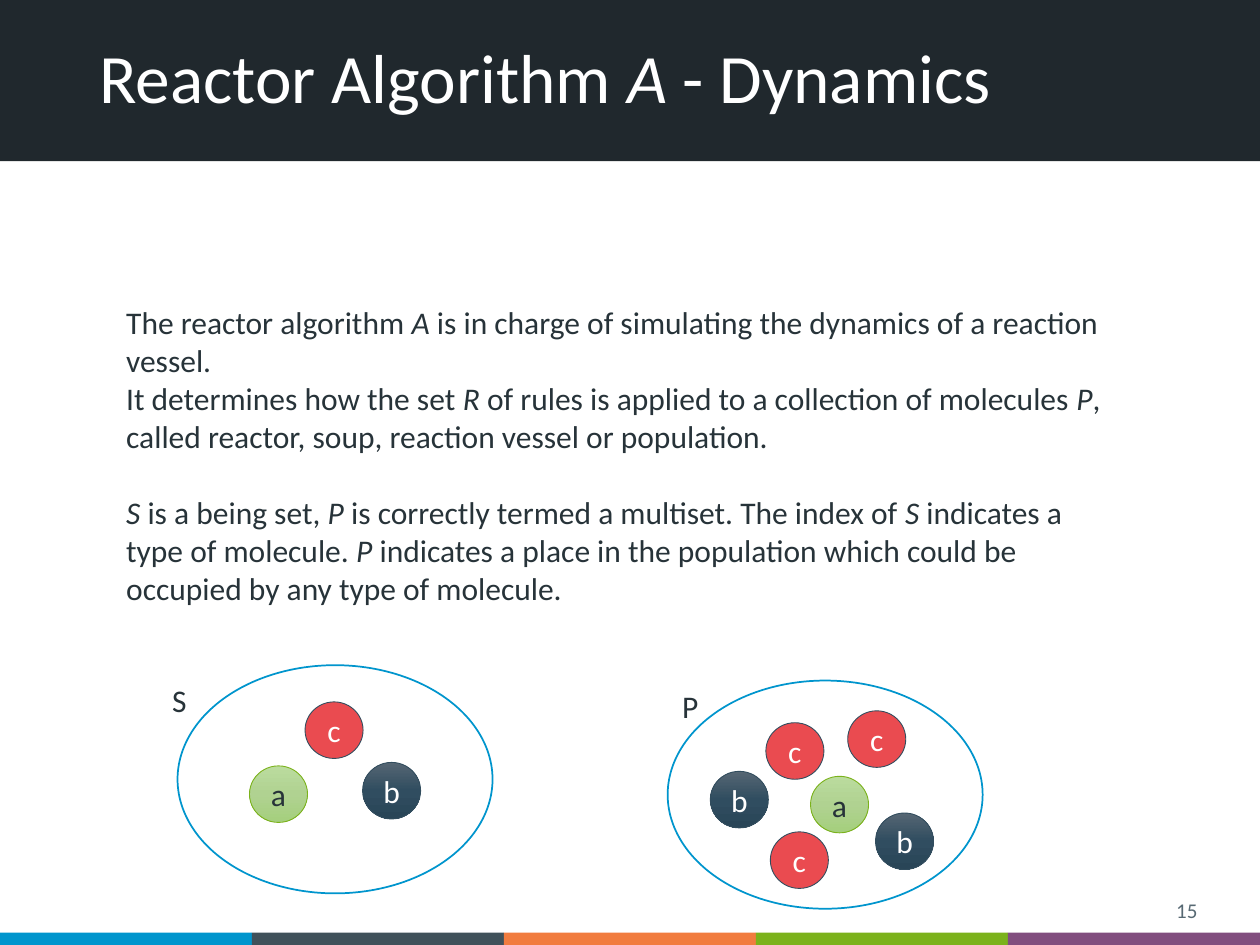
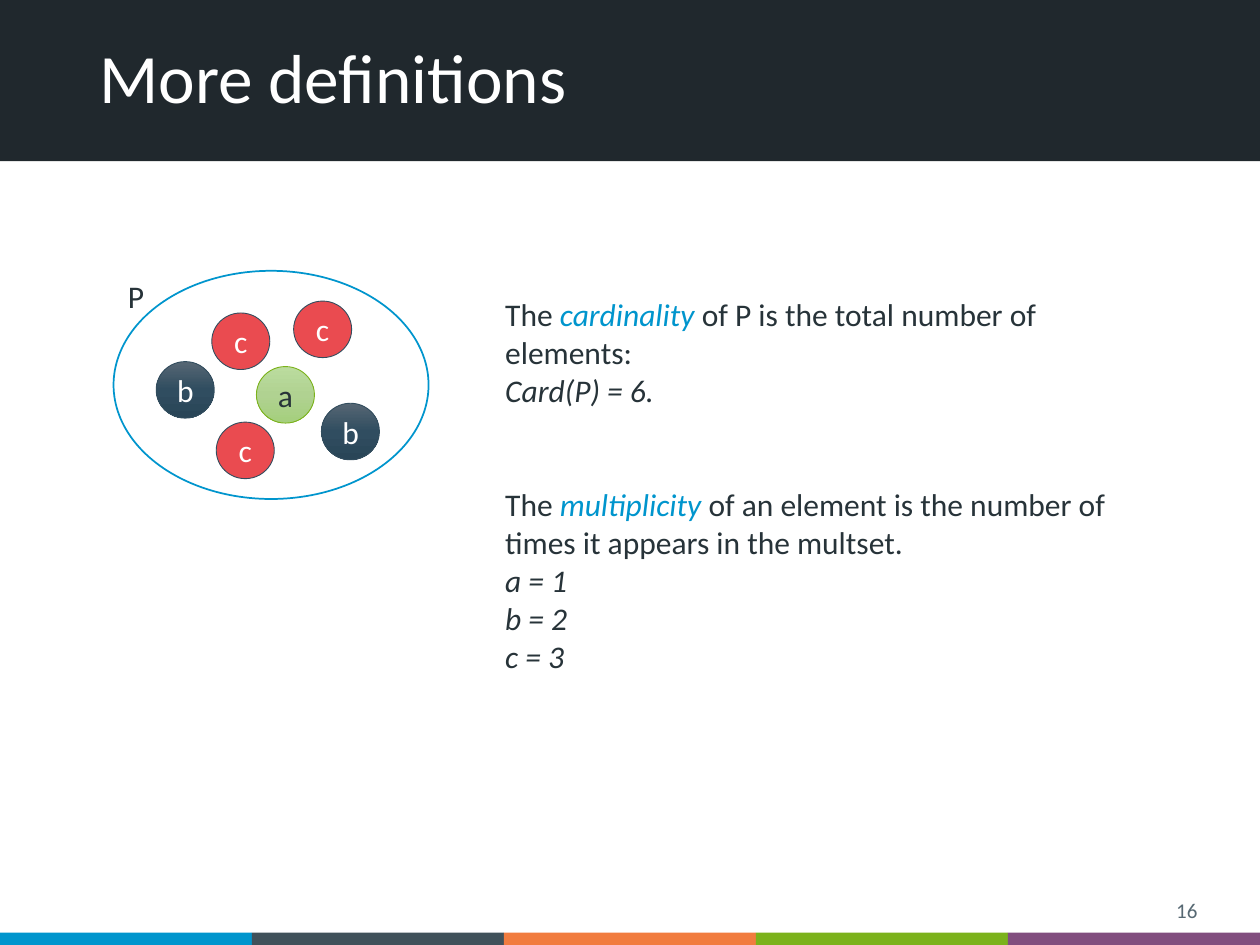
from copy import deepcopy
from dataclasses import dataclass

from lxml import etree
from pptx import Presentation
from pptx import util as u
from pptx.dml.color import RGBColor
from pptx.enum import shapes, text
from pptx.oxml.ns import qn

FONT = "Calibri"
INK, WHITE, BLUE, GREY = "273339", "FFFFFF", "0095CD", "576973"
BAND = "20282D"
STRIPES = [BLUE, "40515A", "F17C3F", "7BB21B", "814E7E"]
SLIDE_W, SLIDE_H = 25.4, 19.05
VESSEL_W, VESSEL_H = 6.35, 4.6
MOLECULE_W, MOLECULE_H = 1.17, 1.14
LINE_PT = 22


@dataclass(frozen=True)
class Span:
    text: str
    italic: bool = False
    color: str | None = None


@dataclass(frozen=True)
class Para:
    spans: list[Span]
    before: float = 0


@dataclass(frozen=True)
class Kind:
    fills: list[str]
    line: str
    color: str


@dataclass(frozen=True)
class Vessel:
    name: str
    label_at: tuple[float, float]
    molecules: list[tuple[str, float, float]]


KINDS = {
    "a": Kind(["BBDC9E", "B0D291", "A5CF7D"], "7BB21B", INK),
    "b": Kind(["566673", "304D60", "294557"], "324D5E", WHITE),
    "c": Kind(["EA4B50"], "324D5E", WHITE),
}
SET_S = Vessel("S", (-0.36, 0.2), [("a", 1.45, 2.03), ("b", 3.73, 1.96), ("c", 2.57, 0.74)])
MULTISET_P = Vessel("P", (0.04, 0), [
    ("a", 2.88, 1.93), ("b", 0.86, 1.83), ("c", 1.98, 0.85),
    ("c", 2.07, 3.05), ("c", 3.63, 0.61), ("b", 4.19, 2.67),
])


def rgb(value: str) -> RGBColor:
    return RGBColor.from_string(value)


def spans(marked: str, accent: str | None = None) -> list[Span]:
    return [Span(part, i % 2 == 1, accent if i % 2 else None)
            for i, part in enumerate(marked.split("*")) if part]


def para(marked: str, accent: str | None = None, before: float = 0) -> Para:
    return Para(spans(marked, accent), before)


def put_text(tf, paras: list[Para], size: float = 18, color: str = INK,
             align=text.PP_ALIGN.LEFT, anchor=text.MSO_ANCHOR.TOP,
             spacing: float = 1.0, wrap: bool = True) -> None:
    tf.word_wrap = wrap
    tf.auto_size = text.MSO_AUTO_SIZE.NONE
    tf.vertical_anchor = anchor
    for i, item in enumerate(paras):
        p = tf.paragraphs[0] if i == 0 else tf.add_paragraph()
        pPr = p._p.get_or_add_pPr()
        pPr.set("marL", "0")
        pPr.set("indent", "0")
        etree.SubElement(pPr, qn("a:buNone"))
        p.alignment, p.line_spacing = align, spacing
        p.space_before, p.space_after = u.Pt(item.before), u.Pt(0)
        for span in item.spans:
            r = p.add_run()
            r.text = span.text
            r.font.name, r.font.size = FONT, u.Pt(size)
            r.font.italic = span.italic
            r.font.color.rgb = rgb(span.color or color)


def place(sp, x: float, y: float, w: float, h: float) -> None:
    sp.left, sp.top, sp.width, sp.height = (u.Cm(v) for v in (x, y, w, h))


def add_shape(s, kind, x: float, y: float, w: float, h: float,
              fills: list[str], line: str | None = None, width: float = 0.5):
    sp = s.shapes.add_shape(kind, *(u.Cm(v) for v in (x, y, w, h)))
    sp.shadow.inherit = False
    if len(fills) > 1:
        sp.fill.gradient()
        sp.fill.gradient_angle = 270
        stops = sp.element.spPr.find(".//" + qn("a:gsLst"))
        for _ in fills[2:]:
            stops.insert(1, deepcopy(stops[0]))
        for i, (stop, fill) in enumerate(zip(sp.fill.gradient_stops, fills)):
            stop.position = i / (len(fills) - 1)
            stop.color.rgb = rgb(fill)
    elif fills:
        sp.fill.solid()
        sp.fill.fore_color.rgb = rgb(fills[0])
    else:
        sp.fill.background()
    if line:
        sp.line.color.rgb = rgb(line)
        sp.line.width = u.Pt(width)
    else:
        sp.line.fill.background()
    return sp


def add_label(s, label: str, x: float, y: float, w: float, h: float, **fmt) -> None:
    sp = s.shapes.add_textbox(*(u.Cm(v) for v in (x, y, w, h)))
    put_text(sp.text_frame, [para(label)], **fmt)


def add_vessel(s, vessel: Vessel, x: float, y: float) -> None:
    for name, dx, dy in vessel.molecules:
        kind = KINDS[name]
        sp = add_shape(s, shapes.MSO_SHAPE.OVAL, x + dx, y + dy,
                       MOLECULE_W, MOLECULE_H, kind.fills, kind.line)
        put_text(sp.text_frame, [para(name)], color=kind.color,
                 align=text.PP_ALIGN.CENTER, anchor=text.MSO_ANCHOR.MIDDLE)
    add_shape(s, shapes.MSO_SHAPE.OVAL, x, y, VESSEL_W, VESSEL_H, [], BLUE, 1)
    dx, dy = vessel.label_at
    add_label(s, vessel.name, x + dx, y + dy, 0.82, 1.02, wrap=False)


def dress_layout(layout, s) -> None:
    rect = shapes.MSO_SHAPE.RECTANGLE
    stripe_w = SLIDE_W / len(STRIPES)
    bands = [add_shape(s, rect, 0, -0.03, SLIDE_W, 3.28, [BAND])]
    bands += [add_shape(s, rect, i * stripe_w, 18.8, stripe_w, 0.25, [fill])
              for i, fill in enumerate(STRIPES)]
    for i, sp in enumerate(bands):
        layout.shapes.element.insert(2 + i, sp.element)
    place(layout.placeholders[0], 1.75, 0.69, 21.9, 1.88)


def fill_slide(s, number: int, title: str, body: list[Para],
               body_at: tuple[float, float, float, float]) -> None:
    middle = text.MSO_ANCHOR.MIDDLE
    put_text(s.shapes.title.text_frame, [para(title)], size=39.6, color=WHITE,
             anchor=middle, spacing=0.9)
    sp = s.placeholders[1]
    place(sp, *body_at)
    put_text(sp.text_frame, body)
    add_label(s, str(number), 18.67, 17.96, 5.72, 0.79, size=12, color=GREY,
              align=text.PP_ALIGN.RIGHT, anchor=middle)


def main() -> None:
    prs = Presentation()
    prs.slide_width, prs.slide_height = u.Cm(SLIDE_W), u.Cm(SLIDE_H)
    layout = prs.slide_layouts[1]

    s = prs.slides.add_slide(layout)
    dress_layout(layout, s)
    fill_slide(s, 15, "Reactor Algorithm *A* - Dynamics", [
        para("The reactor algorithm *A* is in charge of simulating the dynamics "
             "of a reaction vessel."),
        para("It determines how the set *R* of rules is applied to a collection of "
             "molecules *P*, called reactor, soup, reaction vessel or population."),
        para("*S* is a being set, *P* is correctly termed a multiset. The index of *S* "
             "indicates a type of molecule. *P* indicates a place in the population "
             "which could be occupied by any type of molecule.", before=LINE_PT),
    ], (2.29, 5.99, 20.52, 6.4))
    add_vessel(s, SET_S, 3.58, 13.41)
    add_vessel(s, MULTISET_P, 13.46, 13.72)

    s = prs.slides.add_slide(layout)
    fill_slide(s, 16, "More definitions", [
        para("The *cardinality *of P is the total number of elements:", BLUE),
        para("*Card(P) = 6.*"),
        para("The *multiplicity *of an element is the number of times it appears "
             "in the multset.", BLUE, before=2 * LINE_PT),
        *(para(f"*{name} = {count}*") for name, count in (("a", 1), ("b", 2), ("c", 3))),
    ], (9.93, 5.82, 13.87, 10.26))
    add_vessel(s, MULTISET_P, 2.29, 5.46)

    prs.save("out.pptx")


if __name__ == "__main__":
    main()
